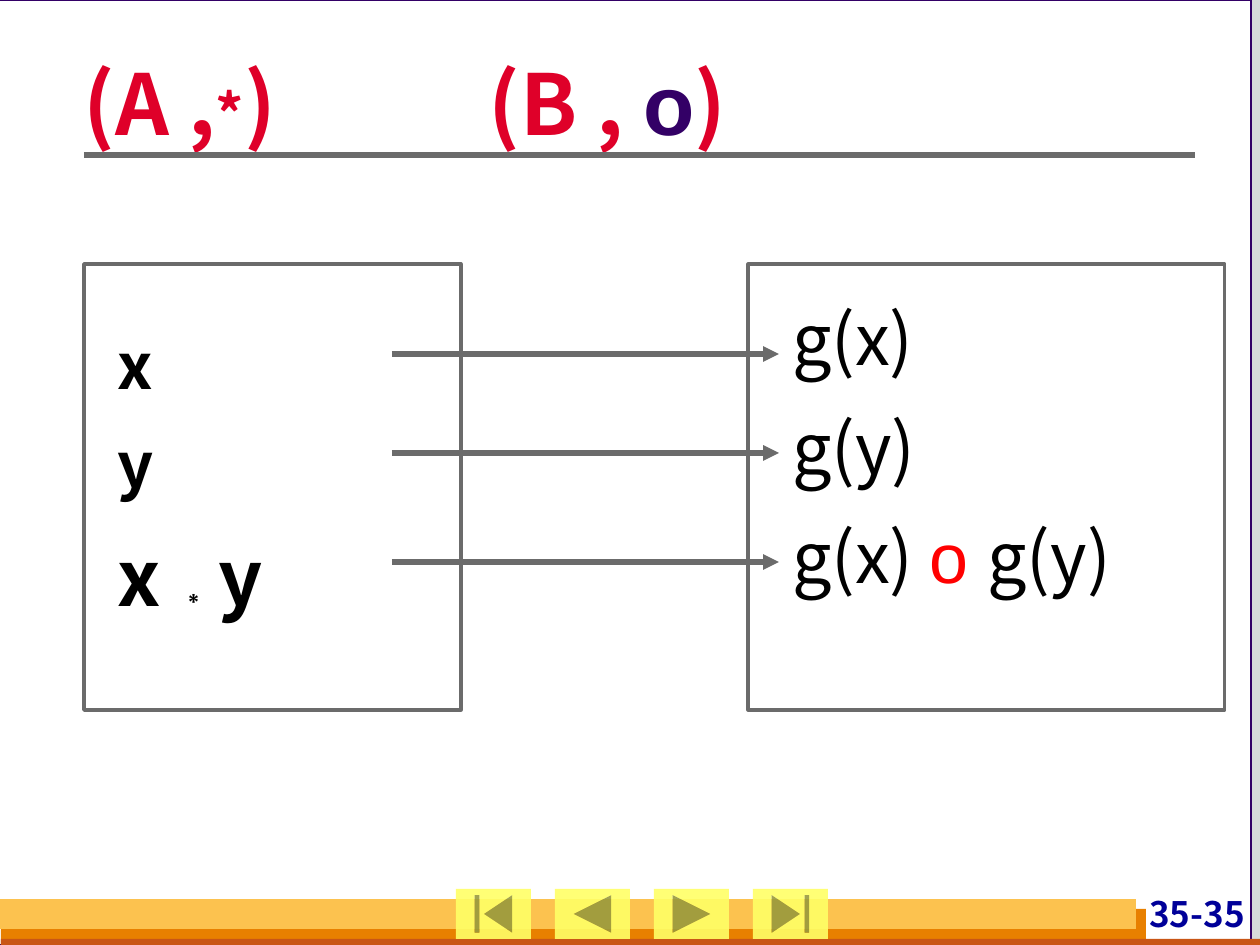
import pptx
import pptx.util
import pptx.dml.color
import pptx.enum.shapes
import pptx.enum.text
import pptx.oxml
import pptx.oxml.ns

FONT = "Noto Sans CJK SC"
GREY = "6B6B6B"
RED = "DF0029"
SHAPE = pptx.enum.shapes.MSO_SHAPE
ALIGN = pptx.enum.text.PP_ALIGN
ANCHOR = pptx.enum.text.MSO_ANCHOR
qn = pptx.oxml.ns.qn


def px(n):
    return pptx.util.Emu(round(n * 914400 / 126))


def color(code):
    return pptx.dml.color.RGBColor.from_string(code)


def add_node(parent, tag, **attrs):
    node = parent.makeelement(qn(tag), attrs)
    parent.append(node)
    return node


def add_rect(slide, box, fill=None, line=None, width=1, kind=SHAPE.RECTANGLE):
    shape = slide.shapes.add_shape(kind, *map(px, box))
    shape.shadow.inherit = False
    if fill:
        shape.fill.solid()
        shape.fill.fore_color.rgb = color(fill)
    else:
        shape.fill.background()
    if line:
        shape.line.color.rgb = color(line)
        shape.line.width = pptx.util.Pt(width)
    else:
        shape.line.fill.background()
    return shape


def add_line(slide, x1, y, x2, arrow=False):
    kind = pptx.enum.shapes.MSO_CONNECTOR.STRAIGHT
    line = slide.shapes.add_connector(kind, px(x1), px(y), px(x2), px(y))
    line.line.color.rgb = color(GREY)
    line.line.width = pptx.util.Pt(3)
    if arrow:
        add_node(line.line._get_or_add_ln(), "a:tailEnd", type="triangle")
    add_node(line._element.spPr, "a:effectLst")


def add_text(para, text, size=40, font=FONT, ink="000000", bold=False):
    run = para.add_run()
    run.text = text
    run.font.size = pptx.util.Pt(size)
    run.font.name = font
    run.font.bold = bold
    run.font.color.rgb = color(ink)


def set_frame(shape, left=13, top=6, right=13, anchor=ANCHOR.TOP):
    frame = shape.text_frame
    frame.word_wrap = True
    frame.auto_size = pptx.enum.text.MSO_AUTO_SIZE.NONE
    frame.margin_left, frame.margin_right = px(left), px(right)
    frame.margin_top = frame.margin_bottom = px(top)
    frame.vertical_anchor = anchor
    return frame


def add_box(slide, box, **opts):
    return set_frame(slide.shapes.add_textbox(*map(px, box)), **opts)


def add_rows(frame, rows, spacing, gaps, align):
    for i, (row, gap) in enumerate(zip(rows, gaps)):
        para = frame.add_paragraph() if i else frame.paragraphs[0]
        para.alignment = align
        para.line_spacing = spacing
        para.space_before = pptx.util.Pt(gap)
        for text, opts in row:
            add_text(para, text, **opts)


def draw_frame(slide):
    add_rect(slide, (-10, 0, 1261, 945), "FFFFFF", "330066", 0.75)
    add_rect(slide, (1, 909, 1145, 36), "E88000")
    add_rect(slide, (1, 939, 1260, 10), "C95616")
    add_rect(slide, (0, 899, 1136, 30), "FCC24F")
    frame = add_box(slide, (1096, 892, 154, 42), left=5, top=0, right=5)
    number = [("35-35", dict(size=20, ink="000099", bold=True))]
    add_rows(frame, [number], 1, [0], ALIGN.RIGHT)


def draw_keys(slide, left, top):
    kinds = (SHAPE.ACTION_BUTTON_BEGINNING, SHAPE.ACTION_BUTTON_BACK_OR_PREVIOUS,
             SHAPE.ACTION_BUTTON_FORWARD_OR_NEXT, SHAPE.ACTION_BUTTON_END)
    for i, kind in enumerate(kinds):
        key = add_rect(slide, (left + i * 99, top, 75, 50), "FFFF66", kind=kind)
        tint = key._element.spPr.find(qn("a:solidFill"))[0]
        add_node(tint, "a:alpha", val="90000")


def draw_title(slide, left, top, wide, high):
    title = slide.shapes.title
    title.left, title.top, title.width, title.height = map(px, (left, top, wide, high))
    frame = set_frame(title, left=0, anchor=ANCHOR.MIDDLE)
    bold = dict(size=48, ink=RED, bold=True)
    row = [("(A ,", bold), ("*", {**bold, "size": 32}), (")\t(B , ", bold),
           ("ο", {**bold, "font": "Arial", "ink": "330066"}), (")", bold)]
    para = frame.paragraphs[0]
    tabs = add_node(para._p.get_or_add_pPr(), "a:tabLst")
    add_node(tabs, "a:tab", pos=str(px(405)), algn="l")
    add_rows(frame, [row], 0.9, [0], ALIGN.LEFT)
    add_line(slide, left, top + 110, left + wide)


def draw_source(slide, left, top, wide, high):
    add_rect(slide, (left, top, wide, high), line=GREY, width=2)
    frame = add_box(slide, (left + 20, top + 49, 307, 340))
    bold = dict(size=36, bold=True)
    big = dict(size=44, bold=True)
    star = dict(size=18, font="Arial", bold=True)
    rows = [[("x", bold)], [("y", bold)], [("x ", big), ("∗ ", star), ("y", big)]]
    add_rows(frame, rows, 1.1, [0, 9, 11], ALIGN.JUSTIFY)


def draw_target(slide, left, top, wide, high):
    add_rect(slide, (left, top, wide, high), line=GREY, width=1.75)
    frame = add_box(slide, (left + 31, top, wide - 31, 368))
    ring = dict(font="Arial", ink="FF0000")
    rows = [[("g(x)", {})], [("g(y)", {})], [("g(x) ", {}), ("ο ", ring), ("g(y)", {})]]
    add_rows(frame, rows, 1.3, [0, 0, 0], ALIGN.LEFT)


def draw_arrows(slide, left, right):
    for y in (354, 453, 562):
        add_line(slide, left, y, right, arrow=True)


def main():
    deck = pptx.Presentation()
    deck.slide_width, deck.slide_height = px(1260), px(945)
    slide = deck.slides.add_slide(deck.slide_layouts[5])
    slide.background.fill.solid()
    slide.background.fill.fore_color.rgb = color("D8DADA")
    draw_frame(slide)
    draw_keys(slide, 456, 889)
    title = slide.shapes.title._element
    slide.shapes._spTree.append(title)
    draw_title(slide, 84, 45, 1111, 127)
    draw_source(slide, 84, 264, 377, 446)
    draw_target(slide, 748, 264, 477, 446)
    draw_arrows(slide, 392, 779)
    deck.save("out.pptx")


if __name__ == "__main__":
    main()
